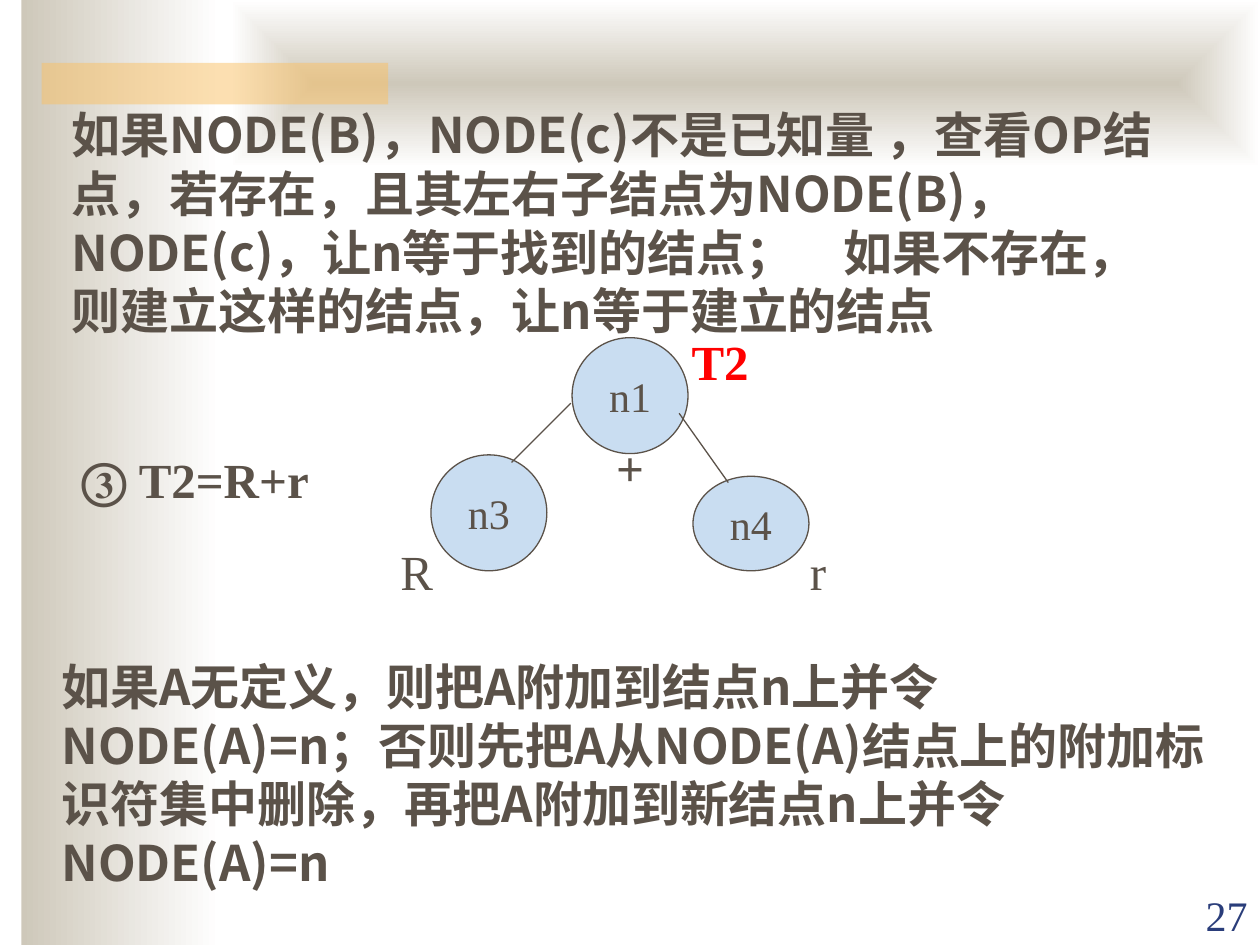
from lxml import etree
from pptx import Presentation
from pptx.dml.color import RGBColor
from pptx.enum.shapes import MSO_CONNECTOR, MSO_SHAPE
from pptx.enum.text import MSO_ANCHOR, PP_ALIGN
from pptx.oxml.ns import qn
from pptx.util import Inches, Pt

RECT, OVAL = MSO_SHAPE.RECTANGLE, MSO_SHAPE.OVAL
LINE = MSO_CONNECTOR.STRAIGHT
TOP, MIDDLE, BOTTOM = MSO_ANCHOR.TOP, MSO_ANCHOR.MIDDLE, MSO_ANCHOR.BOTTOM
LEFT, CENTER, RIGHT = PP_ALIGN.LEFT, PP_ALIGN.CENTER, PP_ALIGN.RIGHT

COLORS = {"sand": "CEC8BA", "white": "FFFFFF", "gold": "FAC164", "ink": "5B5249",
          "node": "C9DDF1", "red": "FF0000", "navy": "2A3D7A"}
SANS, SERIF = "Noto Sans CJK JP", "Times New Roman"

RULES = [
    ("如果NODE(B)，NODE(c)不是已知量 ，查看OP结点，若存在，且其左右子结点为NODE(B)，"
     "NODE(c)，让n等于找到的结点；　如果不存在，则建立这样的结点，让n等于建立的结点",
     (0.47, 0.78, 9, 2.0)),
    ("如果A无定义，则把A附加到结点n上并令NODE(A)=n；否则先把A从NODE(A)结点上的附加"
     "标识符集中删除，再把A附加到新结点n上并令NODE(A)=n",
     (0.39, 5.16, 9.42, 1.97)),
]
NODES = [
    ("n3", (3.42, 3.61, 0.92, 0.92)),
    ("n4", (5.5, 3.78, 0.92, 0.75)),
    ("n1", (4.54, 2.68, 0.92, 0.92)),
]
EDGES = [(4.53, 3.2, 4.06, 3.67), (5.39, 3.28, 5.78, 3.83)]
# text, place, colour, bold, alignment
LABELS = [
    ("R", (3.08, 4.25, 0.75, 0.57), "ink", False, LEFT),
    ("r", (6.33, 4.25, 0.58, 0.57), "ink", False, LEFT),
    ("+", (4.71, 3.42, 0.58, 0.57), "ink", True, CENTER),
    ("T2", (5.39, 2.58, 0.75, 0.57), "red", True, LEFT),
    ("③ T2=R+r", (0.55, 3.52, 2.83, 0.57), "ink", True, LEFT),
]


def rgb(name):
    return RGBColor.from_string(COLORS[name])


def place(box):
    return [Inches(n) for n in box]


def write(shape, text, size=28, color="ink", bold=False, align=LEFT,
          anchor=TOP, font=SERIF, wrap=True):
    frame = shape.text_frame
    frame.text = text
    frame.word_wrap = wrap
    frame.vertical_anchor = anchor
    para = frame.paragraphs[0]
    para.alignment = align
    run = para.runs[0]
    run.font.name, run.font.size, run.font.bold = font, Pt(size), bold
    run.font.color.rgb = rgb(color)
    east = etree.SubElement(run.font._element, qn("a:ea"))
    east.set("typeface", SANS)


def add_text(slide, text, box, **style):
    write(slide.shapes.add_textbox(*place(box)), text, **style)


def add_band(slide, box):
    band = slide.shapes.add_shape(RECT, *place(box))
    band.shadow.inherit = False
    band.line.fill.background()
    return band


def fade(band):
    """Fade from sand to white, left to right."""
    band.fill.gradient()
    band.fill.gradient_angle = 0
    for stop, name, pos in zip(band.fill.gradient_stops, ("sand", "white"), (0, 1)):
        stop.color.rgb = rgb(name)
        stop.position = pos


def from_center(band):
    """Turn the linear fade into one that runs from the centre to the edges."""
    grad = band._element.spPr.find(qn("a:gradFill"))
    grad.remove(grad.find(qn("a:lin")))
    shade = etree.SubElement(grad, qn("a:path"), {"path": "rect"})
    etree.SubElement(shade, qn("a:fillToRect"), {side: "50000" for side in "ltrb"})


def add_node(slide, text, box):
    node = slide.shapes.add_shape(OVAL, *place(box))
    node.shadow.inherit = False
    node.fill.solid()
    node.fill.fore_color.rgb = rgb("node")
    node.line.color.rgb = rgb("ink")
    node.line.width = Pt(0.75)
    write(node, text, size=24, align=CENTER, anchor=MIDDLE, wrap=False)


def add_edge(slide, ends):
    edge = slide.shapes.add_connector(LINE, *place(ends))
    edge.line.color.rgb = rgb("ink")
    edge.line.width = Pt(0.75)
    etree.SubElement(edge._element.spPr, qn("a:effectLst"))


def main():
    deck = Presentation()
    deck.slide_width, deck.slide_height = Inches(10), Inches(7.5)
    slide = deck.slides.add_slide(deck.slide_layouts[6])

    fade(add_band(slide, (0.17, 0, 1.58, 7.5)))
    head = add_band(slide, (1.83, 0, 8.17, 1.33))
    fade(head)
    from_center(head)
    bar = add_band(slide, (0.33, 0.5, 2.75, 0.33))
    bar.fill.solid()
    bar.fill.fore_color.rgb = rgb("gold")
    tint = bar._element.spPr.find(qn("a:solidFill"))[0]
    etree.SubElement(tint, qn("a:alpha"), {"val": "50000"})

    add_text(slide, "27", (9, 7.01, 1, 0.5), size=24, color="navy",
             align=RIGHT, anchor=BOTTOM)
    for text, box in RULES:
        add_text(slide, text, box, bold=True, font=SANS)
    for text, box in NODES:
        add_node(slide, text, box)
    for ends in EDGES:
        add_edge(slide, ends)
    for text, box, color, bold, align in LABELS:
        add_text(slide, text, box, color=color, bold=bold, align=align)

    deck.save("out.pptx")


if __name__ == "__main__":
    main()
